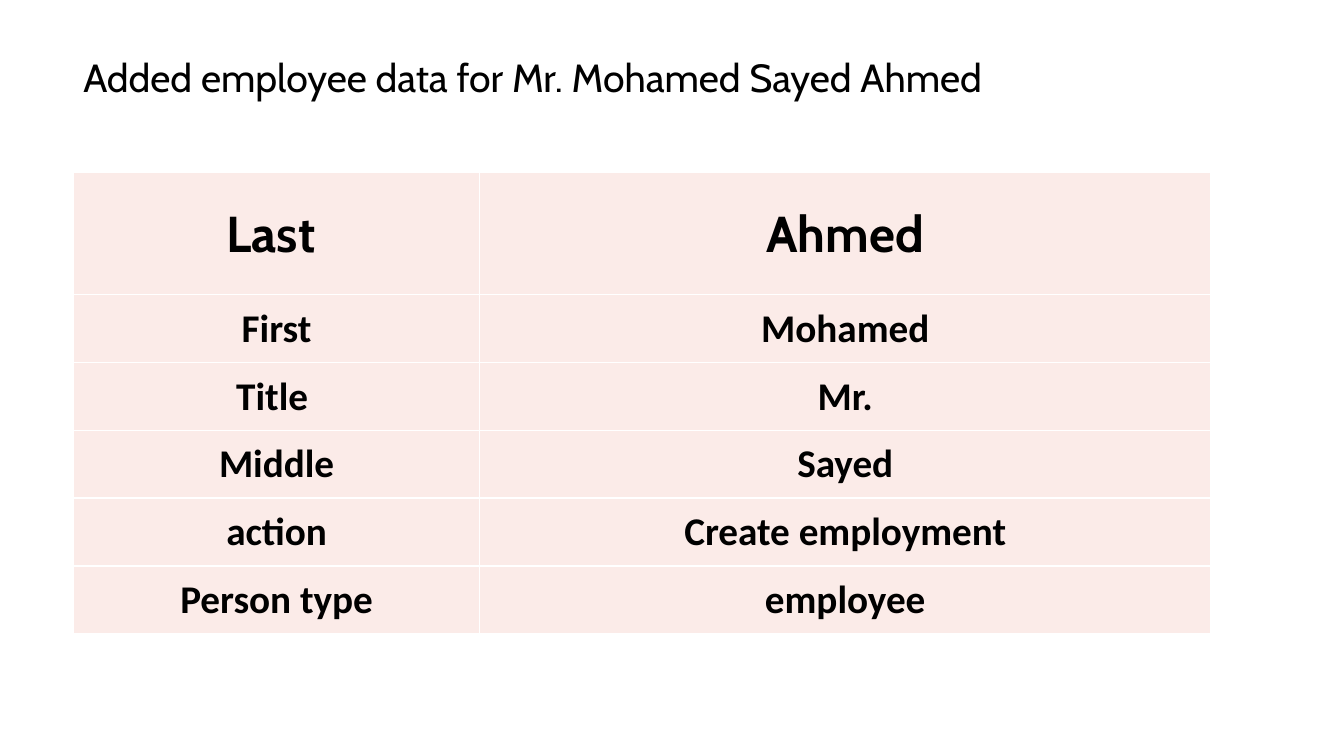
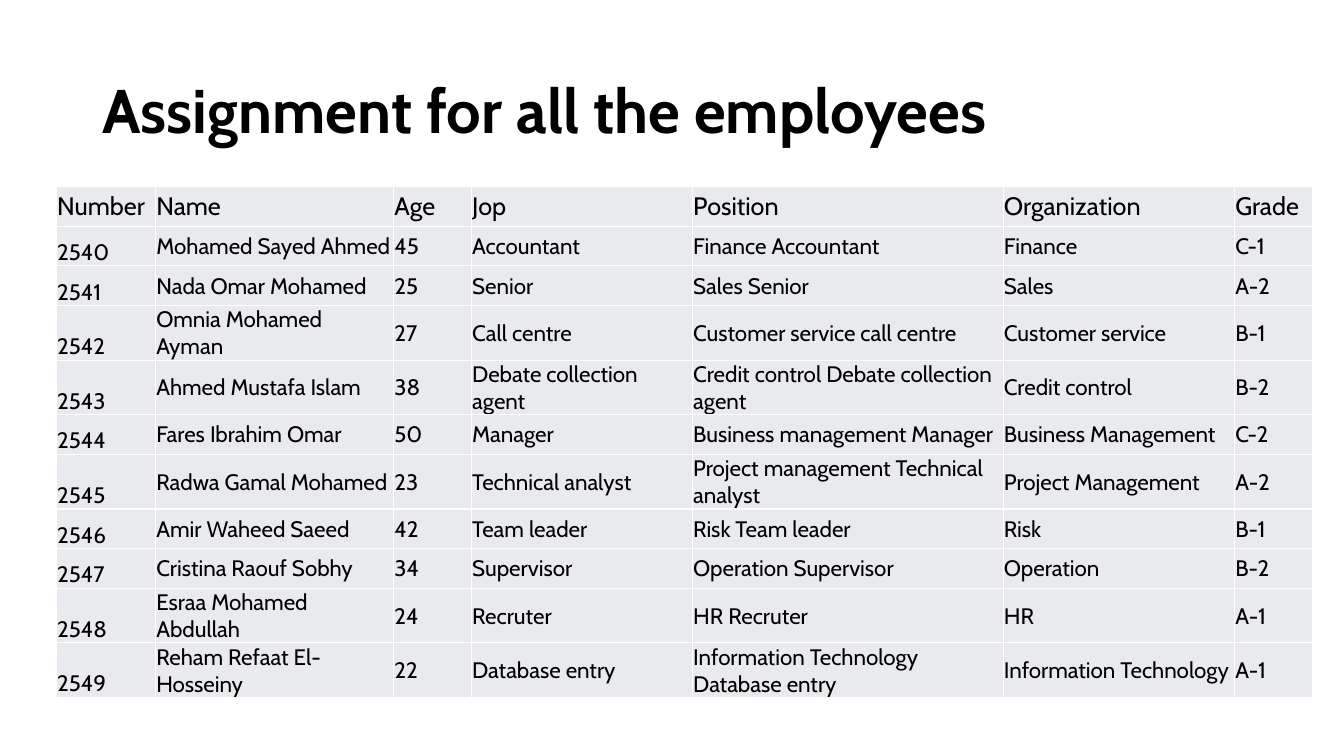
from lxml import etree
from pptx import Presentation
from pptx.dml.color import RGBColor
from pptx.enum.text import MSO_ANCHOR, PP_ALIGN
from pptx.oxml.ns import qn
from pptx.util import Cm, Pt

BLACK, WHITE, PINK, GREY = "000000", "FFFFFF", "FBEBE8", "E8EAED"
HEAD_FONT, BODY_FONT = "Cabin", "Calibri"

PERSON = [
    ("Last ", "Ahmed"),
    ("First", "Mohamed"),
    ("Title ", "Mr."),
    ("Middle", "Sayed"),
    ("action", "Create employment"),
    ("Person type", "employee"),
]

ASSIGNMENTS = [
    ("Number", "Name", "Age", "Jop", "Position", "Organization", "Grade"),
    ("2540", "Mohamed Sayed Ahmed", "45", "Accountant",
     "Finance Accountant", "Finance", "C-1"),
    ("2541", "Nada Omar Mohamed", "25", "Senior",
     "Sales Senior", "Sales", "A-2"),
    ("2542", "Omnia Mohamed Ayman", "27", "Call centre",
     "Customer service call centre", "Customer service", "B-1"),
    ("2543", "Ahmed Mustafa Islam", "38", "Debate collection agent",
     "Credit control Debate collection agent", "Credit control", "B-2"),
    ("2544", "Fares Ibrahim Omar", "50", "Manager",
     "Business management Manager", "Business Management", "C-2"),
    ("2545", "Radwa Gamal Mohamed", "23", "Technical analyst",
     "Project management Technical analyst", "Project Management", "A-2"),
    ("2546", "Amir Waheed Saeed", "42", "Team leader",
     "Risk Team leader", "Risk", "B-1"),
    ("2547", "Cristina Raouf Sobhy", "34", "Supervisor",
     "Operation Supervisor", "Operation", "B-2"),
    ("2548", "Esraa Mohamed Abdullah", "24", "Recruter",
     "HR Recruter", "HR", "A-1"),
    ("2549", "Reham Refaat El-Hosseiny", "22", "Database entry",
     "Information Technology Database entry", "Information Technology", "A-1"),
]


def rgb(value):
    return RGBColor.from_string(value)


def set_attrs(obj, values):
    for name, value in values.items():
        setattr(obj, name, value)


def write(p, text, size, font=HEAD_FONT, bold=False):
    r = p.add_run()
    r.text = text
    set_attrs(r.font, {"size": Pt(size), "name": font, "bold": bold})
    r.font.color.rgb = rgb(BLACK)


def add_title(s, box, text, size, bold=False):
    tf = s.shapes.add_textbox(*map(Cm, box)).text_frame
    set_attrs(tf, {"word_wrap": True, "vertical_anchor": MSO_ANCHOR.MIDDLE})
    p = tf.paragraphs[0]
    p.line_spacing = 0.9
    write(p, text, size, bold=bold)


def set_borders(cell):
    tc_pr = cell._tc.get_or_add_tcPr()
    for i, side in enumerate(("lnL", "lnR", "lnT", "lnB")):
        ln = etree.Element(qn(f"a:{side}"), w=str(Pt(1)))
        fill = etree.SubElement(ln, qn("a:solidFill"))
        etree.SubElement(fill, qn("a:srgbClr"), val=WHITE)
        tc_pr.insert(i, ln)


def add_grid(s, left, top, widths, heights, rows, fill, style):
    """Place a table; style(row, column) gives anchor, alignment and run format."""
    frame = s.shapes.add_table(len(rows), len(widths), Cm(left), Cm(top),
                               Cm(sum(widths)), Cm(sum(heights)))
    table = frame.table
    set_attrs(table, {"first_row": False, "horz_banding": False})
    for column, width in zip(table.columns, widths):
        column.width = Cm(width)
    for i, (row, height, texts) in enumerate(zip(table.rows, heights, rows)):
        row.height = Cm(height)
        for j, (cell, text) in enumerate(zip(row.cells, texts)):
            anchor, align, run_format = style(i, j)
            set_attrs(cell, {
                "margin_left": Cm(0.02), "margin_right": Cm(0.02),
                "margin_top": Cm(0.02), "margin_bottom": 0,
                "vertical_anchor": anchor,
            })
            cell.fill.solid()
            cell.fill.fore_color.rgb = rgb(fill)
            set_borders(cell)
            p = cell.text_frame.paragraphs[0]
            p.alignment = align
            write(p, text, **run_format)


def person_style(i, j):
    size, font = (36, HEAD_FONT) if i == 0 else (28, BODY_FONT)
    return (MSO_ANCHOR.MIDDLE, PP_ALIGN.CENTER,
            {"size": size, "font": font, "bold": True})


def assignment_style(i, j):
    # Employee numbers sit at the bottom of their cells
    anchor = MSO_ANCHOR.BOTTOM if i and j == 0 else MSO_ANCHOR.MIDDLE
    return anchor, PP_ALIGN.LEFT, {"size": 16 if i else 18}


def person_slide(s):
    add_title(s, (1.85, 0.58, 28.65, 2.84),
              "Added employee data for Mr. Mohamed Sayed Ahmed", 28)
    add_grid(s, 1.85, 4.35, [10.24, 18.42], [3.07] + [1.71] * 5,
             PERSON, PINK, person_style)


def assignment_slide(s):
    add_title(s, (2.33, 1.01, 29.21, 3.68),
              "Assignment for all the employees", 44, bold=True)
    add_grid(s, 1.42, 4.7, [2.5, 6, 1.96, 5.57, 7.83, 5.83, 1.96],
             [1] * len(ASSIGNMENTS), ASSIGNMENTS, GREY, assignment_style)


def main():
    prs = Presentation()
    set_attrs(prs, {"slide_width": Cm(33.87), "slide_height": Cm(19.05)})
    for build in (person_slide, assignment_slide):
        build(prs.slides.add_slide(prs.slide_layouts[6]))
    prs.save("out.pptx")


if __name__ == "__main__":
    main()
